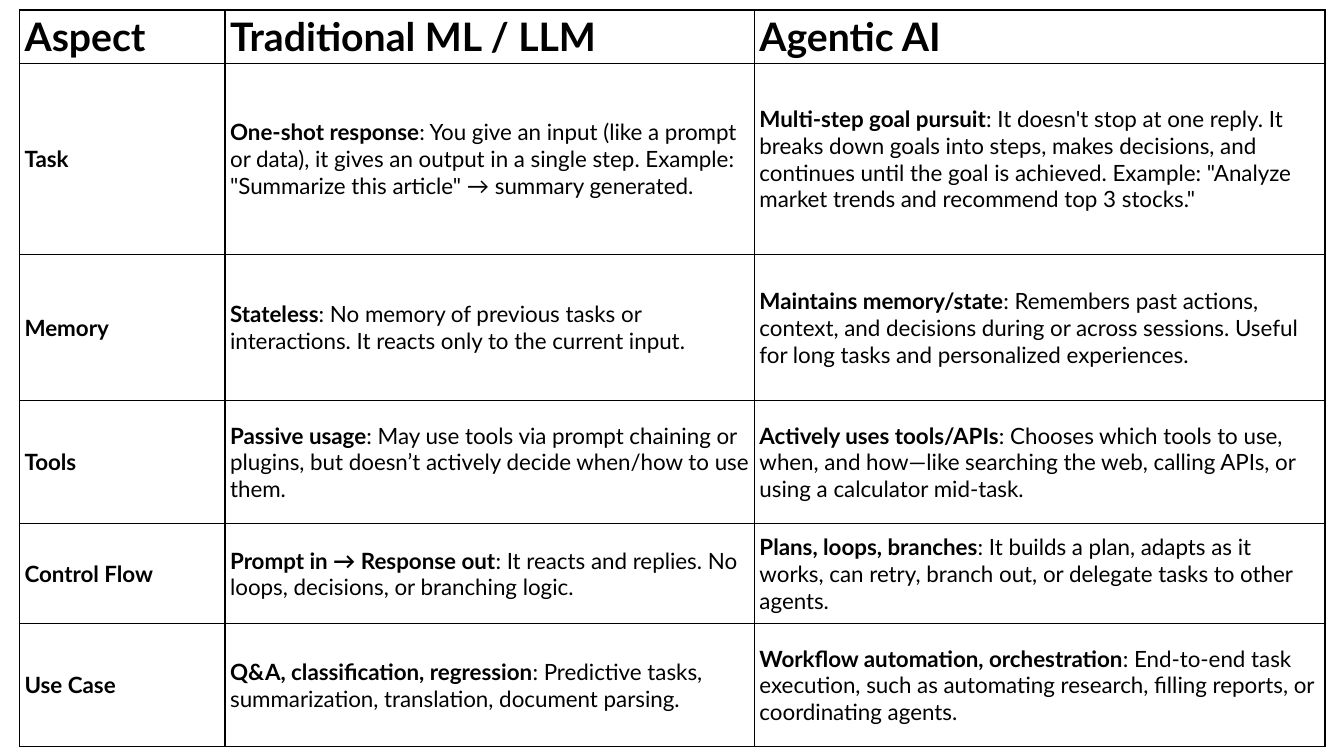
"""Build a slide comparing traditional ML / LLM systems with agentic AI."""
from dataclasses import dataclass

from lxml import etree
from pptx import Presentation
from pptx import util as u
from pptx.dml import color
from pptx.enum import text
from pptx.oxml import ns
from pptx.table import _Cell


@dataclass(frozen=True)
class Theme:
    font: str = "Lato"
    ink: str = "000000"
    heading_size: int = 28
    body_size: int = 16
    border_width: int = 1


@dataclass(frozen=True)
class Entry:
    lead: str
    detail: str = ""


@dataclass(frozen=True)
class Row:
    height: float
    entries: tuple[Entry, ...]
    heading: bool = False


THEME = Theme()
COLUMN_WIDTHS = (5.18, 13.34, 14.38)
ROWS = (
    Row(1.33, (Entry("Aspect"), Entry("Traditional ML / LLM"), Entry("Agentic AI")), heading=True),
    Row(4.82, (
        Entry("Task"),
        Entry("One-shot response", ": You give an input (like a prompt or data), it gives an output "
              "in a single step. Example: \"Summarize this article\" → summary generated."),
        Entry("Multi-step goal pursuit", ": It doesn't stop at one reply. It breaks down goals into "
              "steps, makes decisions, and continues until the goal is achieved. Example: "
              "\"Analyze market trends and recommend top 3 stocks.\""),
    )),
    Row(3.68, (
        Entry("Memory"),
        Entry("Stateless", ": No memory of previous tasks or interactions. "
              "It reacts only to the current input."),
        Entry("Maintains memory/state", ": Remembers past actions, context, and decisions during "
              "or across sessions. Useful for long tasks and personalized experiences."),
    )),
    Row(3.1, (
        Entry("Tools"),
        Entry("Passive usage", ": May use tools via prompt chaining or plugins, "
              "but doesn’t actively decide when/how to use them."),
        Entry("Actively uses tools/APIs", ": Chooses which tools to use, when, and how—like "
              "searching the web, calling APIs, or using a calculator mid-task."),
    )),
    Row(2.52, (
        Entry("Control Flow"),
        Entry("Prompt in → Response out", ": It reacts and replies. "
              "No loops, decisions, or branching logic."),
        Entry("Plans, loops, branches", ": It builds a plan, adapts as it works, can retry, "
              "branch out, or delegate tasks to other agents."),
    )),
    Row(3.1, (
        Entry("Use Case"),
        Entry("Q&A, classification, regression", ": Predictive tasks, summarization, "
              "translation, document parsing."),
        Entry("Workflow automation, orchestration", ": End-to-end task execution, such as "
              "automating research, filling reports, or coordinating agents."),
    )),
)


def add_borders(cell: _Cell) -> None:
    """Draw a solid line on all four sides of a cell."""
    properties = cell._tc.get_or_add_tcPr()
    for position, side in enumerate(("lnL", "lnR", "lnT", "lnB")):
        line = etree.Element(ns.qn(f"a:{side}"), w=str(u.Pt(THEME.border_width)))
        fill = etree.SubElement(line, ns.qn("a:solidFill"))
        etree.SubElement(fill, ns.qn("a:srgbClr"), val=THEME.ink)
        properties.insert(position, line)


def fill_cell(cell: _Cell, entry: Entry, size: int) -> None:
    """Write a bold lead and its plain detail into a bordered cell."""
    cell.fill.background()
    add_borders(cell)
    cell.vertical_anchor = text.MSO_ANCHOR.MIDDLE
    cell.margin_left = cell.margin_right = u.Cm(0.13)
    cell.margin_top = cell.margin_bottom = u.Cm(0.08)
    para = cell.text_frame.paragraphs[0]
    para.font.name = THEME.font
    para.font.size = u.Pt(size)
    para.font.color.rgb = color.RGBColor.from_string(THEME.ink)
    para.font.bold = True
    para.add_run().text = entry.lead
    if entry.detail:
        span = para.add_run()
        span.text = entry.detail
        span.font.bold = False


def main() -> None:
    """Create the deck with its comparison table and save it."""
    deck = Presentation()
    deck.slide_width, deck.slide_height = u.Cm(33.87), u.Cm(19.05)
    page = deck.slides.add_slide(deck.slide_layouts.get_by_name("Blank"))
    frame = page.shapes.add_table(
        len(ROWS), len(COLUMN_WIDTHS), u.Cm(0.49), u.Cm(0.25),
        u.Cm(sum(COLUMN_WIDTHS)), u.Cm(sum(row.height for row in ROWS)))
    table = frame.table
    table.first_row = table.horz_banding = False
    for column, width in zip(table.columns, COLUMN_WIDTHS):
        column.width = u.Cm(width)
    for table_row, row in zip(table.rows, ROWS):
        table_row.height = u.Cm(row.height)
        size = THEME.heading_size if row.heading else THEME.body_size
        for cell, entry in zip(table_row.cells, row.entries):
            fill_cell(cell, entry, size)
    deck.save("out.pptx")


if __name__ == "__main__":
    main()
